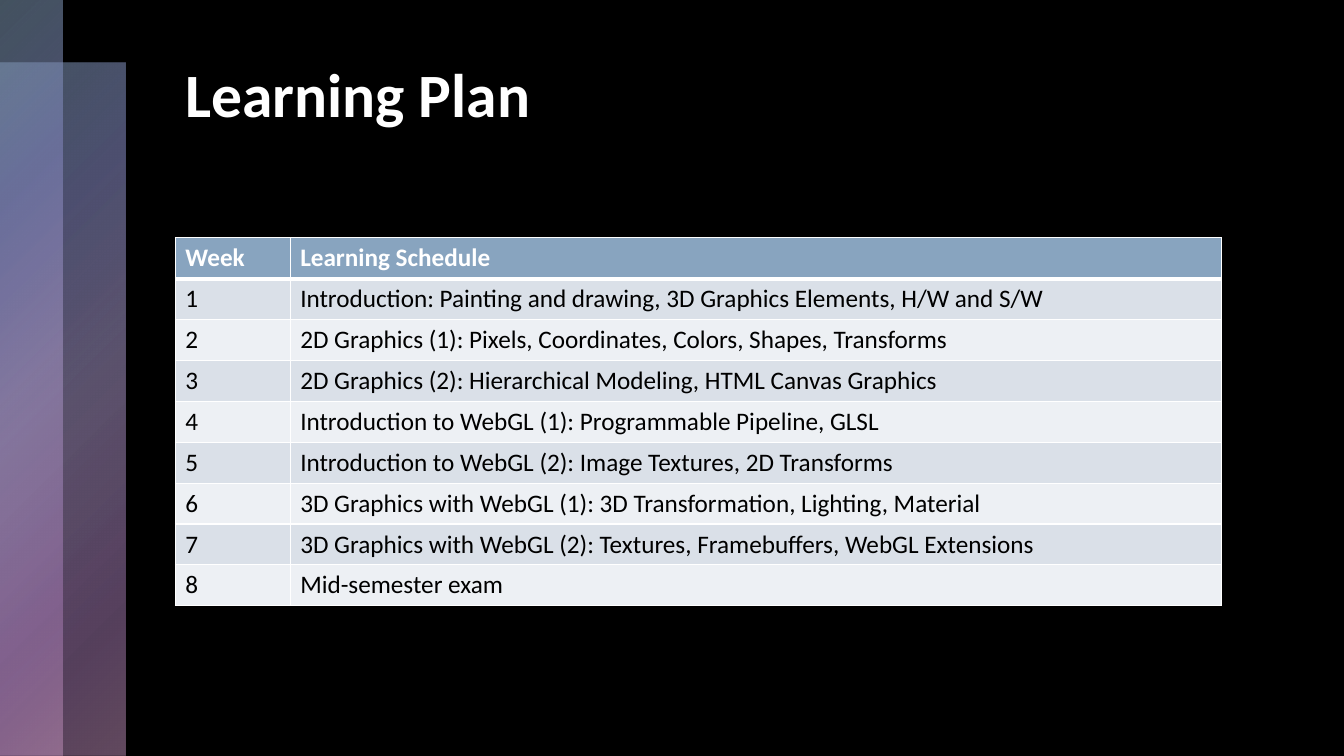
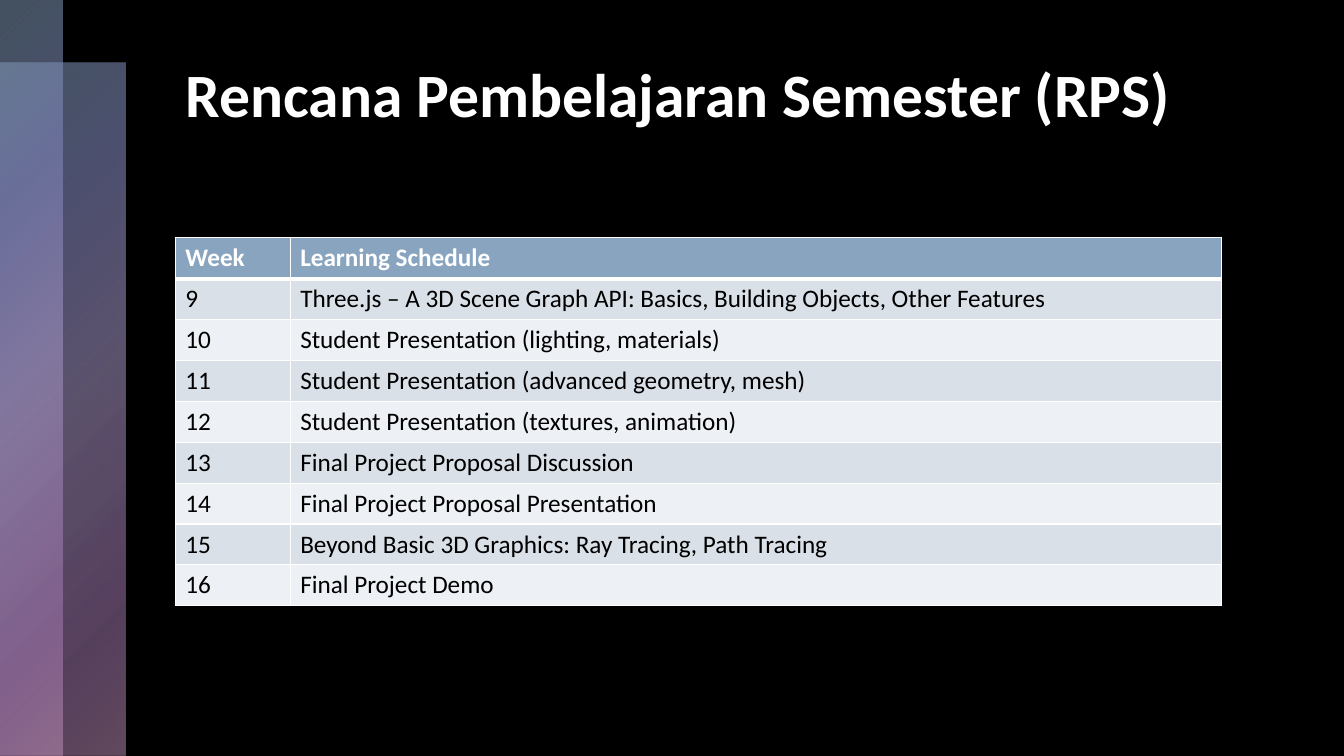
from pptx import Presentation, util as u
from pptx.dml.color import RGBColor
from pptx.enum import shapes, text
from pptx.oxml import parse_xml
from pptx.oxml.ns import nsdecls

Pt = u.Pt
COLORS = {
    "night": "000000", "white": "FFFFFF", "header": "88A4BF",
    "odd": "DAE0E8", "even": "EDF0F4",
}
FONT = "Calibri"
SLIDE_SIZE = (960, 540)
TITLE_BOX = (125.3, 36, 746.6, 122.4)
BANDS = [(0, 44.6, 89.3, 495.4), (0, 0, 44.6, 540)]
BAND_STOPS = [
    (0, "88A4BF", 50), (25, "7F84BA", 60), (50, "A696C6", 55),
    (81, "AB7FBA", 50), (99, "C493BD", 50),
]
TABLE_CORNER = (125.3, 169.9)
COLUMNS = (82, 665.3)
ROW_HEIGHT = 29.2
HEADINGS = ("Week", "Learning Schedule")

PLANS = [
    ("Learning Plan", 1, [
        "Introduction: Painting and drawing, 3D Graphics Elements, H/W and S/W",
        "2D Graphics (1): Pixels, Coordinates, Colors, Shapes, Transforms",
        "2D Graphics (2): Hierarchical Modeling, HTML Canvas Graphics",
        "Introduction to WebGL (1): Programmable Pipeline, GLSL",
        "Introduction to WebGL (2): Image Textures, 2D Transforms",
        "3D Graphics with WebGL (1): 3D Transformation, Lighting, Material",
        "3D Graphics with WebGL (2): Textures, Framebuffers, WebGL Extensions",
        "Mid-semester exam",
    ]),
    ("Rencana Pembelajaran Semester (RPS)", 9, [
        "Three.js – A 3D Scene Graph API: Basics, Building Objects, Other Features",
        "Student Presentation (lighting, materials)",
        "Student Presentation (advanced geometry, mesh)",
        "Student Presentation (textures, animation)",
        "Final Project Proposal Discussion",
        "Final Project Proposal Presentation",
        "Beyond Basic 3D Graphics: Ray Tracing, Path Tracing",
        "Final Project Demo",
    ]),
]


def rgb(name):
    return RGBColor.from_string(COLORS[name])


def write(frame, words, size, color, bold):
    paragraph = frame.paragraphs[0]
    paragraph.alignment = text.PP_ALIGN.LEFT
    run = paragraph.add_run()
    run.text = words
    run.font.name = FONT
    run.font.size = Pt(size)
    run.font.bold = bold
    run.font.color.rgb = rgb(color)


def band_fill():
    stops = "".join(
        f'<a:gs pos="{pos * 1000}"><a:srgbClr val="{color}">'
        f'<a:alpha val="{alpha * 1000}"/></a:srgbClr></a:gs>'
        for pos, color, alpha in BAND_STOPS)
    return parse_xml(
        f'<a:gradFill {nsdecls("a")} rotWithShape="1"><a:gsLst>{stops}</a:gsLst>'
        '<a:path path="circle"><a:fillToRect r="100000" b="100000"/></a:path></a:gradFill>')


def style_layout(layout, slide):
    title = layout.placeholders[0]
    title.left, title.top, title.width, title.height = map(Pt, TITLE_BOX)
    for index, box in enumerate(BANDS):
        band = slide.shapes.add_shape(shapes.MSO_SHAPE.RECTANGLE, *map(Pt, box))
        band.shadow.inherit = False
        band.line.fill.background()
        band.element.spPr.insert(2, band_fill())
        layout.shapes.element.insert(2 + index, band.element)


def add_title(slide, words):
    frame = slide.shapes.title.text_frame
    frame.word_wrap = True
    frame.auto_size = text.MSO_AUTO_SIZE.NONE
    frame.vertical_anchor = text.MSO_ANCHOR.TOP
    write(frame, words, 44, "white", True)


def set_borders(cell, top, bottom):
    props = cell._tc.get_or_add_tcPr()
    for index, (side, width) in enumerate(zip("LRTB", (1, 1, top, bottom))):
        props.insert(index, parse_xml(
            f'<a:ln{side} {nsdecls("a")} w="{Pt(width)}"><a:solidFill>'
            f'<a:srgbClr val="{COLORS["white"]}"/></a:solidFill></a:ln{side}>'))


def add_schedule(slide, first_week, topics):
    rows = [HEADINGS] + [(str(week), topic) for week, topic in enumerate(topics, first_week)]
    size = (sum(COLUMNS), ROW_HEIGHT * len(rows))
    schedule = slide.shapes.add_table(
        len(rows), len(COLUMNS), *map(Pt, TABLE_CORNER + size)).table
    for column, width in zip(schedule.columns, COLUMNS):
        column.width = Pt(width)
    for r, row in enumerate(rows):
        schedule.rows[r].height = Pt(ROW_HEIGHT)
        heading = r == 0
        shade = "header" if heading else "odd" if r % 2 else "even"
        for c, words in enumerate(row):
            cell = schedule.cell(r, c)
            cell.fill.solid()
            cell.fill.fore_color.rgb = rgb(shade)
            set_borders(cell, 3 if r == 1 else 1, 3 if heading else 1)
            write(cell.text_frame, words, 18, "white" if heading else "night", heading)


def main():
    prs = Presentation()
    prs.slide_width, prs.slide_height = map(Pt, SLIDE_SIZE)
    backdrop = prs.slide_master.background.fill
    backdrop.solid()
    backdrop.fore_color.rgb = rgb("night")
    layout = prs.slide_layouts.get_by_name("Title Only")
    for number, (title, first_week, topics) in enumerate(PLANS):
        slide = prs.slides.add_slide(layout)
        if number == 0:
            style_layout(layout, slide)
        add_title(slide, title)
        add_schedule(slide, first_week, topics)
    prs.save("out.pptx")


if __name__ == "__main__":
    main()
